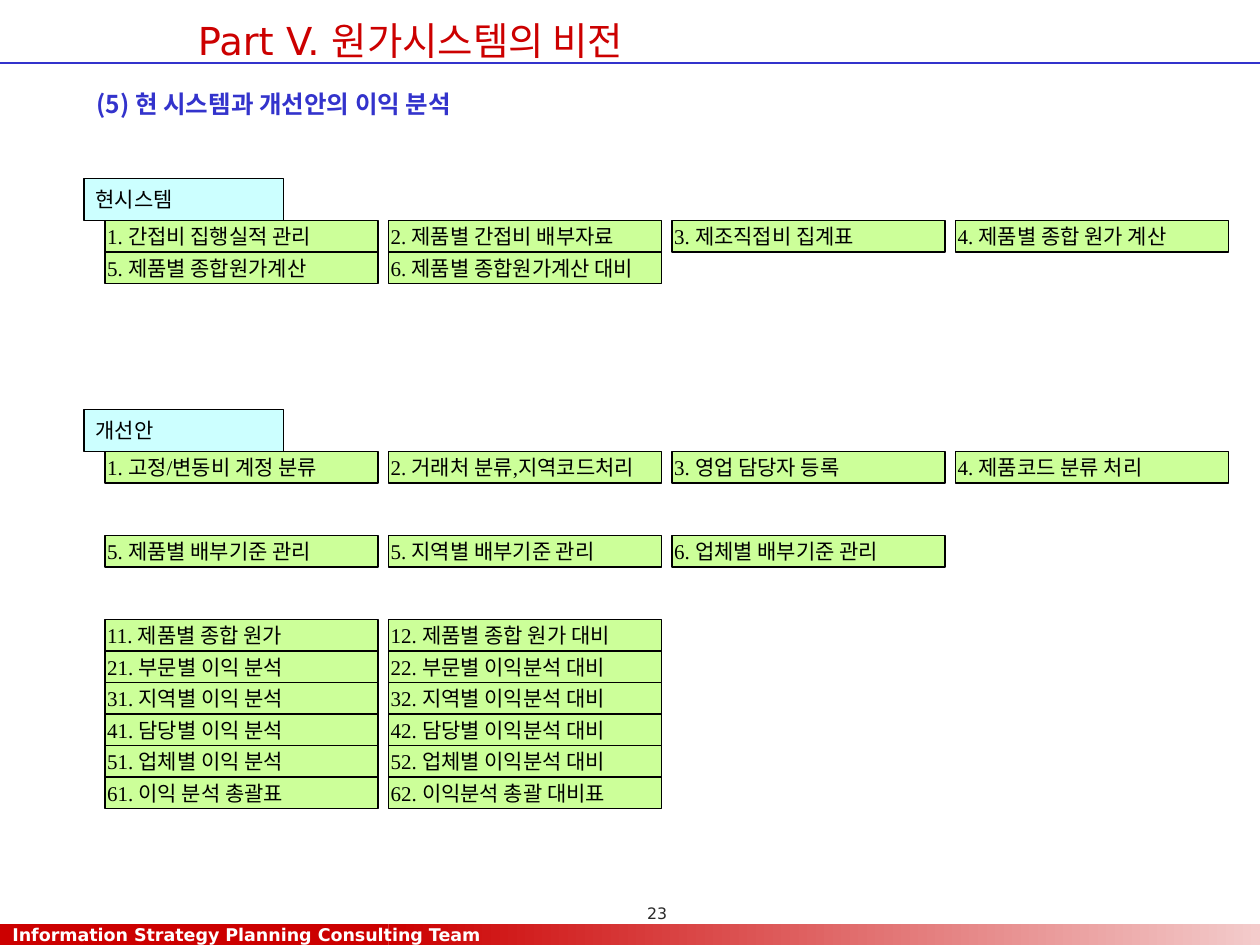
from dataclasses import dataclass

from lxml.etree import SubElement
from pptx import Presentation
from pptx.dml.color import RGBColor
from pptx.enum.shapes import MSO_CONNECTOR as Connector, MSO_SHAPE as Preset
from pptx.enum.text import MSO_ANCHOR as Anchor, MSO_AUTO_SIZE as AutoSize, PP_ALIGN as Align
from pptx.oxml.ns import qn
from pptx.util import Emu, Pt

PX = 7620  # 120 px to the inch

COLORS = {
    "red": "CC0000", "pink": "F3CBCB", "blue": "3333CC", "cyan": "CCFFFF",
    "green": "CCFF99", "black": "000000", "white": "FFFFFF", "gray": "292929",
}

# Shared grid of the item boxes
GRID_LEFT, COLUMN_PITCH = 100, 270
ITEM_WIDTH, ITEM_HEIGHT = 260, 30
HEADER_LEFT, HEADER_WIDTH, HEADER_HEIGHT = 80, 190, 40


@dataclass(frozen=True)
class TextStyle:
    font: str
    size: int
    color: str
    bold: bool = False
    align: Align = Align.LEFT
    anchor: Anchor = Anchor.TOP
    wrap: bool = False
    insets: tuple[int, int, int, int] = (12, 6, 12, 6)  # left, top, right, bottom


@dataclass(frozen=True)
class Section:
    title: str
    top: int
    rows: dict[int, list[str]]  # row top -> items


TITLE = TextStyle("DejaVu Sans", 22, "red", align=Align.CENTER, insets=(12, 6, 20, 6))
SUBTITLE = TextStyle("Noto Sans CJK KR", 14, "blue", bold=True, wrap=True)
HEADER = TextStyle("Times New Roman", 12, "black", anchor=Anchor.MIDDLE, insets=(11, 6, 2, 6))
ITEM = TextStyle("Times New Roman", 12, "black", anchor=Anchor.MIDDLE, insets=(2, 6, 2, 6))
FOOTER = TextStyle("DejaVu Sans", 10, "white", bold=True, anchor=Anchor.MIDDLE)
PAGE_NUMBER = TextStyle("DejaVu Sans", 9, "gray", align=Align.CENTER, wrap=True,
                        insets=(12, 6, 0, 6))

SECTIONS = [
    Section("현시스템", 170, {
        210: ["1. 간접비 집행실적 관리", "2. 제품별 간접비 배부자료",
              "3. 제조직접비 집계표", "4. 제품별 종합 원가 계산"],
        240: ["5. 제품별 종합원가계산", "6. 제품별 종합원가계산 대비"],
    }),
    Section("개선안", 390, {
        430: ["1. 고정/변동비 계정 분류", "2. 거래처 분류,지역코드처리",
              "3. 영업 담당자 등록", "4. 제품코드 분류 처리"],
        510: ["5. 제품별 배부기준 관리", "5. 지역별 배부기준 관리", "6. 업체별 배부기준 관리"],
        590: ["11. 제품별 종합 원가", "12. 제품별 종합 원가 대비"],
        620: ["21. 부문별 이익 분석", "22. 부문별 이익분석 대비"],
        650: ["31. 지역별 이익 분석", "32. 지역별 이익분석 대비"],
        680: ["41. 담당별 이익 분석", "42. 담당별 이익분석 대비"],
        710: ["51. 업체별 이익 분석", "52. 업체별 이익분석 대비"],
        740: ["61. 이익 분석 총괄표", "62. 이익분석 총괄 대비표"],
    }),
]


def px(length: int) -> Emu:
    return Emu(length * PX)


def rgb(name: str) -> RGBColor:
    return RGBColor.from_string(COLORS[name])


def place(shape, left: int, top: int, width: int, height: int) -> None:
    sides = {"left": left, "top": top, "width": width, "height": height}
    for name, length in sides.items():
        setattr(shape, name, px(length))


def write(shape, text: str, style: TextStyle):
    """Set the text of a shape and return its paragraph."""
    frame = shape.text_frame
    frame.text = text
    paragraph = frame.paragraphs[0]
    left, top, right, bottom = map(px, style.insets)
    frame_format = {
        "word_wrap": style.wrap, "auto_size": AutoSize.NONE,
        "vertical_anchor": style.anchor, "margin_left": left, "margin_top": top,
        "margin_right": right, "margin_bottom": bottom,
    }
    for name, value in frame_format.items():
        setattr(frame, name, value)
    paragraph.alignment = style.align
    paragraph.space_before = Pt(0)
    font = paragraph.runs[0].font
    for name, value in {"name": style.font, "size": Pt(style.size), "bold": style.bold}.items():
        setattr(font, name, value)
    font.color.rgb = rgb(style.color)
    return paragraph


def add_box(slide, bounds: tuple[int, int, int, int], fill: str, outlined: bool = True):
    shape = slide.shapes.add_shape(Preset.RECTANGLE, *map(px, bounds))
    shape.shadow.inherit = False
    shape.fill.solid()
    shape.fill.fore_color.rgb = rgb(fill)
    if outlined:
        shape.line.color.rgb = rgb("black")
        shape.line.width = Pt(1)
    else:
        shape.line.fill.background()
    return shape


def add_footer(slide) -> None:
    fade = add_box(slide, (370, 880, 830, 20), "red", outlined=False)
    fade.fill.gradient()
    fade.fill.gradient_angle = 0
    for stop, color in zip(fade.fill.gradient_stops, ("red", "pink")):
        stop.color.rgb = rgb(color)
    band = add_box(slide, (0, 880, 370, 20), "red", outlined=False)
    write(band, "Information Strategy Planning Consulting Team", FOOTER)
    number = slide.shapes.add_textbox(*map(px, (530, 855, 180, 30)))
    write(number, "23", PAGE_NUMBER)


def add_headings(slide) -> None:
    rule = slide.shapes.add_connector(Connector.STRAIGHT, *map(px, (0, 60, 1200, 60)))
    rule.line.color.rgb = rgb("blue")
    rule.line.width = Pt(0.75)
    SubElement(rule._element.spPr, qn("a:effectLst"))

    title, body = slide.placeholders
    place(title, 167, 10, 456, 56)
    write(title, "Part V. 원가시스템의 비전", TITLE)
    place(body, 80, 70, 550, 40)
    paragraph = write(body, "(5) 현 시스템과 개선안의 이익 분석", SUBTITLE)
    paragraph.line_spacing = 1.3
    properties = paragraph._p.get_or_add_pPr()
    properties.set("marL", str(px(45)))
    properties.set("indent", str(px(-45)))
    SubElement(properties, qn("a:buNone"))


def add_section(slide, section: Section) -> None:
    header = add_box(slide, (HEADER_LEFT, section.top, HEADER_WIDTH, HEADER_HEIGHT), "cyan")
    write(header, section.title, HEADER)
    for top, items in section.rows.items():
        for column, item in enumerate(items):
            left = GRID_LEFT + column * COLUMN_PITCH
            write(add_box(slide, (left, top, ITEM_WIDTH, ITEM_HEIGHT), "green"), item, ITEM)


def main() -> None:
    presentation = Presentation()
    presentation.slide_width, presentation.slide_height = px(1200), px(900)
    slide = presentation.slides.add_slide(presentation.slide_layouts[1])
    add_footer(slide)
    add_headings(slide)
    for section in SECTIONS:
        add_section(slide, section)
    presentation.save("out.pptx")


if __name__ == "__main__":
    main()
